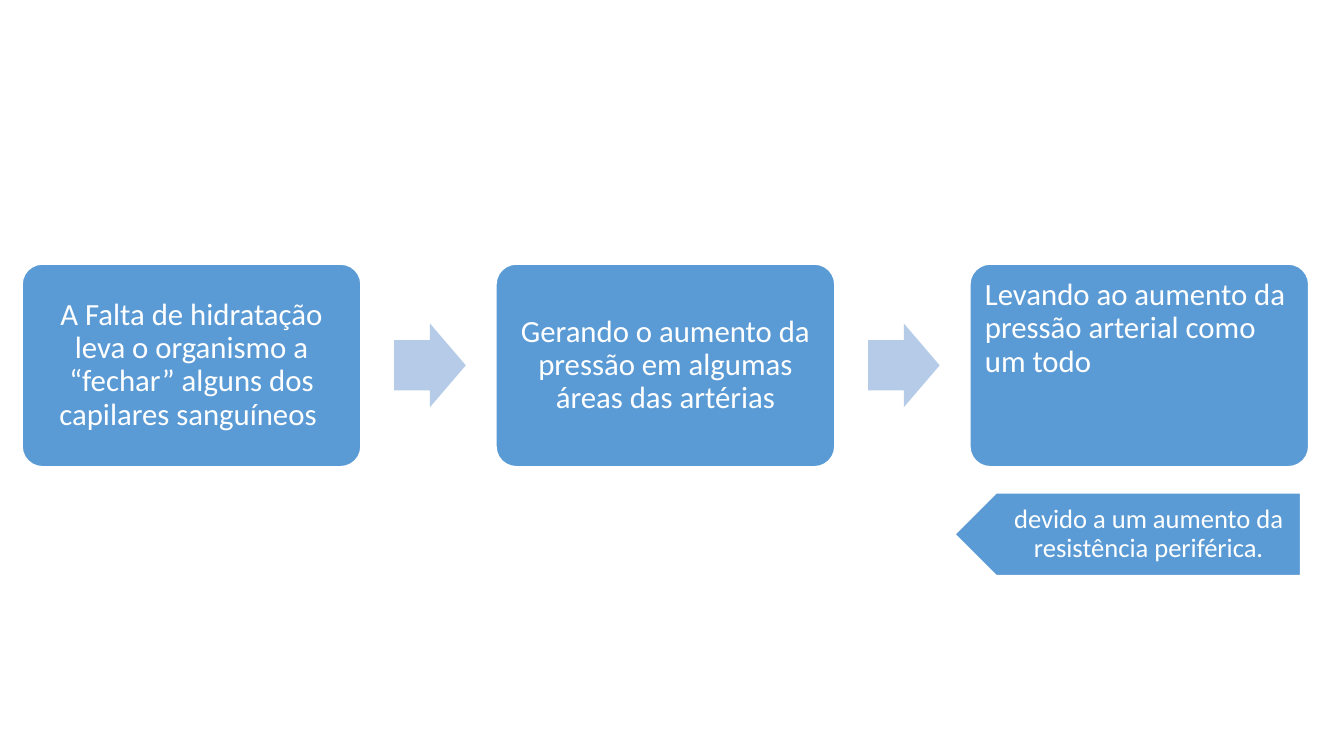
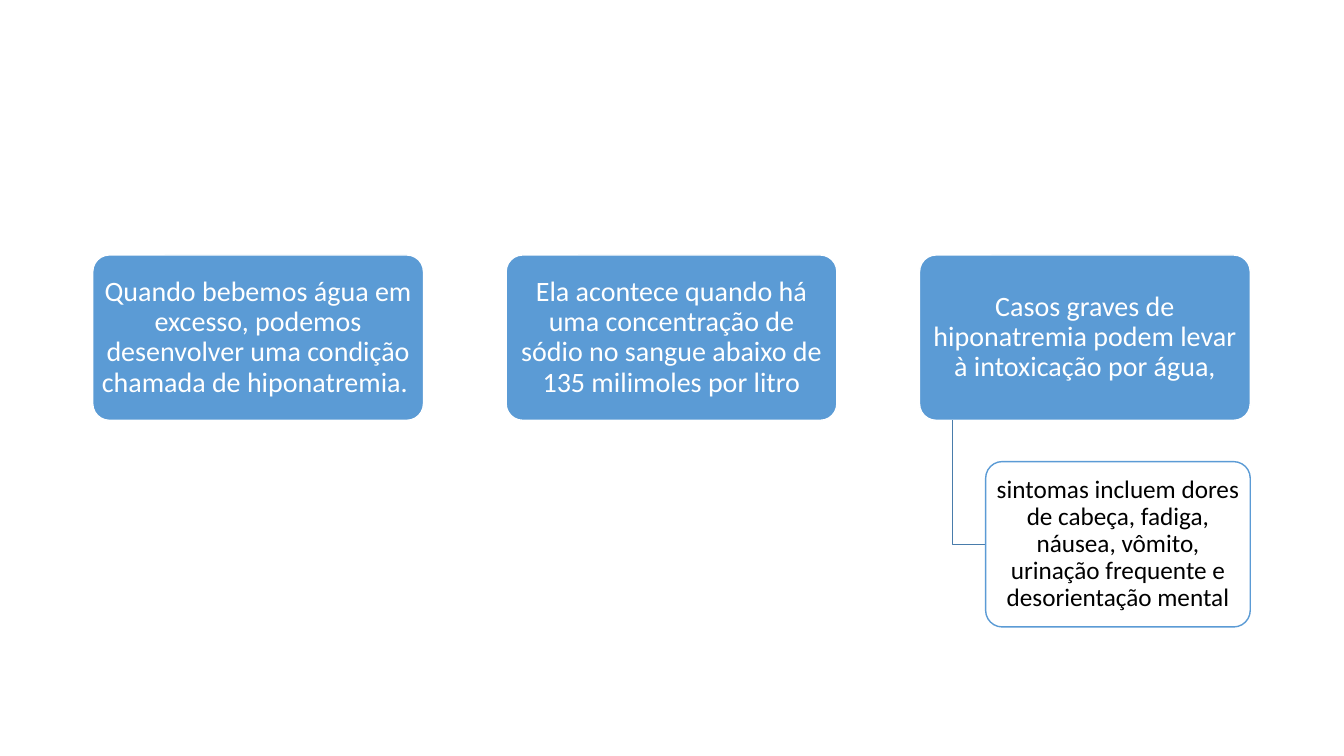
from pptx import Presentation
from pptx.dml.color import RGBColor
from pptx.enum.shapes import MSO_SHAPE
from pptx.enum.text import MSO_ANCHOR, PP_ALIGN
from pptx.util import Inches, Pt

ROUNDED = MSO_SHAPE.ROUNDED_RECTANGLE
RIGHT_ARROW = MSO_SHAPE.RIGHT_ARROW
PENTAGON = MSO_SHAPE.PENTAGON
TOP, MIDDLE = MSO_ANCHOR.TOP, MSO_ANCHOR.MIDDLE
LEFT, CENTER = PP_ALIGN.LEFT, PP_ALIGN.CENTER

BLUE = RGBColor(0x5B, 0x9B, 0xD5)
PALE_BLUE = RGBColor(0xB5, 0xCB, 0xE7)
LINK_BLUE = RGBColor(0x49, 0x7C, 0xAB)
WHITE = RGBColor(0xFF, 0xFF, 0xFF)
BLACK = RGBColor(0x00, 0x00, 0x00)

FONT = "Calibri"
CORNER = 0.1

PRESSURE_STEPS = [
    "A Falta de hidratação leva o organismo a “fechar” alguns dos capilares sanguíneos ",
    "Gerando o aumento da pressão em algumas áreas das artérias",
    "Levando ao aumento da pressão arterial como um todo",
]
PRESSURE_CAUSE = "devido a um aumento da resistência periférica."
WATER_FACTS = [
    "Quando bebemos água em excesso, podemos desenvolver uma condição chamada de hiponatremia. ",
    "Ela acontece quando há uma concentração de sódio no sangue abaixo de 135 milimoles por litro",
    "Casos graves de hiponatremia podem levar à intoxicação por água,",
]
WATER_SYMPTOMS = (
    "sintomas incluem dores de cabeça, fadiga, náusea, vômito, "
    "urinação frequente e desorientação mental"
)


def paint(shape, fill=None, line=None):
    shape.shadow.inherit = False
    if fill is None:
        shape.fill.background()
    else:
        shape.fill.solid()
        shape.fill.fore_color.rgb = fill
    if line is None:
        shape.line.fill.background()
    else:
        shape.line.color.rgb = line
        shape.line.width = Pt(1)


def write(shape, text, size, insets, color=WHITE, anchor=MIDDLE, align=CENTER):
    """Set one paragraph; insets are left, top, right and bottom in inches."""
    frame = shape.text_frame
    sides = ("margin_left", "margin_top", "margin_right", "margin_bottom")
    frame_format = dict(zip(sides, map(Inches, insets)))
    frame_format.update(word_wrap=True, vertical_anchor=anchor)
    for name, value in frame_format.items():
        setattr(frame, name, value)
    para = frame.paragraphs[0]
    para.alignment = align
    para.line_spacing = 0.9
    span = para.add_run()
    span.text = text
    for name, value in {"name": FONT, "size": Pt(size)}.items():
        setattr(span.font, name, value)
    span.font.color.rgb = color


def add_preset(page, preset, box, fill, line=None):
    shape = page.shapes.add_shape(preset, *map(Inches, box))
    paint(shape, fill, line)
    return shape


def add_card(page, box, text, size, insets, fill=BLUE, line=WHITE, **text_format):
    card = add_preset(page, ROUNDED, box, fill, line)
    card.adjustments[0] = CORNER
    write(card, text, size, insets, **text_format)


def row_boxes(box, pitch, count):
    left, top, width, height = box
    return [(left + i * pitch, top, width, height) for i in range(count)]


def add_step_arrow(page, box):
    """Place an arrow in the gap to the right of a step."""
    left, top, width, height = box
    arrow_height = 0.83
    arrow_top = top + (height - arrow_height) / 2
    arrow = add_preset(
        page, RIGHT_ARROW, (left + width + 0.33, arrow_top, 0.71, arrow_height), PALE_BLUE
    )
    arrow.adjustments[0] = 0.6
    arrow.adjustments[1] = 0.5


def add_cause_tag(page, box, text):
    """Place a tag pointing left, with upright text beside its tip."""
    left, top, width, height = box
    tag = add_preset(page, PENTAGON, box, BLUE, WHITE)
    tag.rotation = 180
    tip = height / 4
    label = page.shapes.add_textbox(*map(Inches, (left + tip, top, width - tip, height)))
    write(label, text, 19, (0.36, 0.08, 0.15, 0.08))


def add_symptoms(page, parent, text):
    """Hang a white card and its link under the parent card."""
    left, top, width, height = parent
    indent, gap = width / 10, 0.41
    bottom = top + height
    child = (left + 2 * indent, bottom + gap, width * 0.8, height)
    middle = bottom + gap + height / 2
    link_left = left + indent
    outline = page.shapes.build_freeform(Inches(link_left), Inches(bottom))
    corners = [(link_left, middle), (child[0], middle)]
    outline.add_line_segments([(Inches(x), Inches(y)) for x, y in corners], close=False)
    paint(outline.convert_to_shape(), line=LINK_BLUE)
    add_card(page, child, text, 18, (0.04, 0.03) * 2, fill=WHITE, line=BLUE, color=BLACK)


def build_pressure_slide(page, box):
    boxes = row_boxes(box, 4.7, len(PRESSURE_STEPS))
    last = boxes[-1]
    for step, text in zip(boxes, PRESSURE_STEPS):
        text_format = {"anchor": TOP, "align": LEFT} if step == last else {}
        add_card(page, step, text, 22, (0.09,) * 4, **text_format)
        if step != last:
            add_step_arrow(page, step)
    left, top, _, height = last
    add_cause_tag(page, (left - 0.15, top + height + 0.26, 3.43, 0.82), PRESSURE_CAUSE)


def build_water_slide(page, box):
    boxes = row_boxes(box, 4.1, len(WATER_FACTS))
    for fact, text in zip(boxes, WATER_FACTS):
        add_card(page, fact, text, 20, (0.04, 0.03) * 2)
    add_symptoms(page, boxes[-1], WATER_SYMPTOMS)


def main():
    deck = Presentation()
    deck.slide_width, deck.slide_height = Inches(13.33), Inches(7.5)
    blank = deck.slide_layouts[6]
    build_pressure_slide(deck.slides.add_slide(blank), (0.22, 2.62, 3.36, 2.01))
    build_water_slide(deck.slides.add_slide(blank), (0.92, 2.53, 3.28, 1.64))
    deck.save("out.pptx")


if __name__ == "__main__":
    main()
